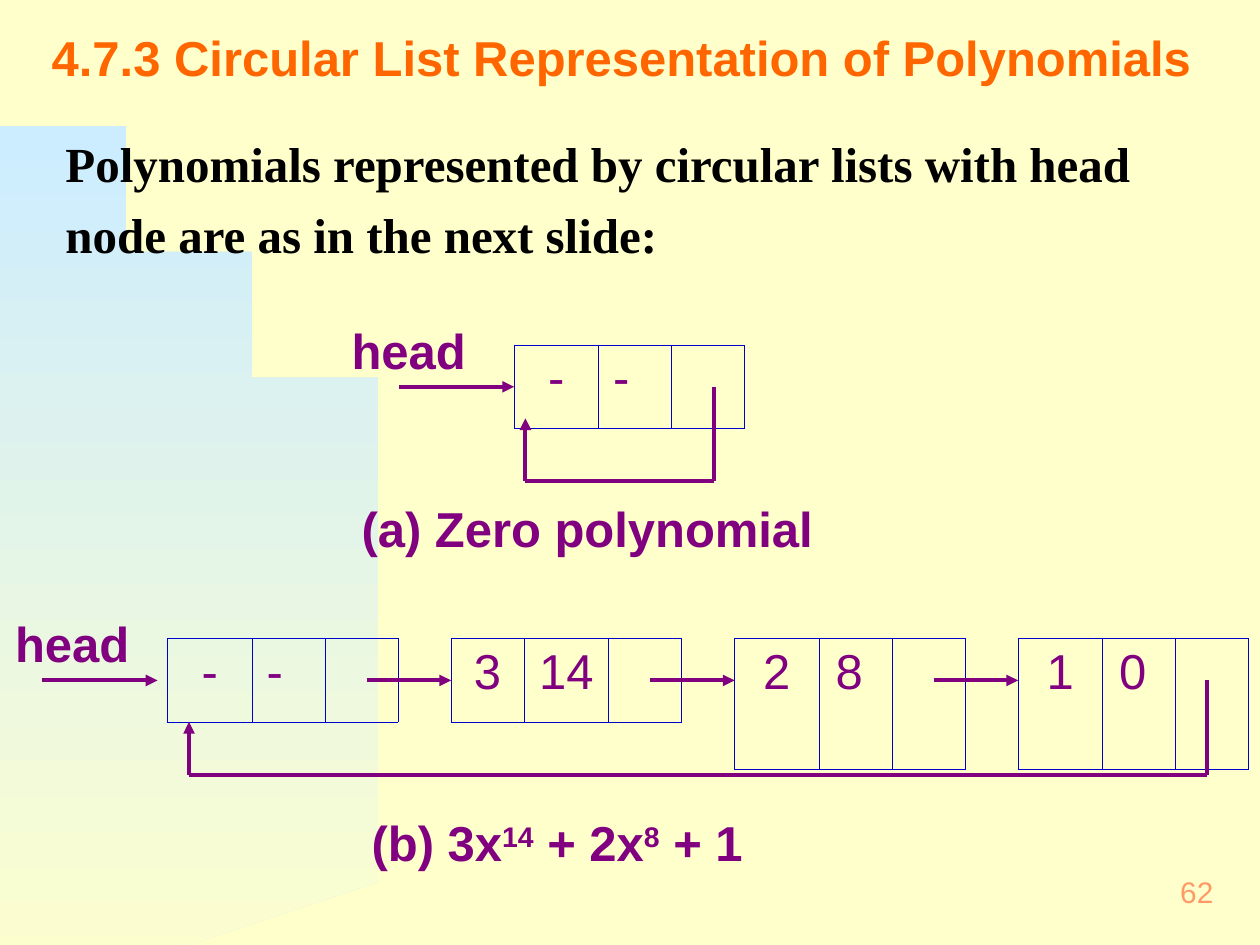
from dataclasses import dataclass
from math import cos, pi, sin

from lxml.etree import SubElement
from pptx import Presentation
from pptx.dml.color import RGBColor as RGB
from pptx.enum.shapes import MSO_CONNECTOR as CONN
from pptx.enum.text import MSO_ANCHOR as ANCHOR, PP_ALIGN as ALIGN
from pptx.oxml.ns import qn
from pptx.util import Inches, Pt


@dataclass(frozen=True)
class Theme:
    background: str = "FFFFCC"
    sky: str = "CCECFF"
    title: str = "FF6600"
    body: str = "010000"
    ink: str = "800080"
    border: str = "0000CC"
    number: str = "FF9966"
    sans: str = "Arial"
    serif: str = "Times New Roman"
    size: float = 28
    number_size: float = 17
    line: float = 2.25
    border_line: float = 0.45


class SlideBuilder:
    def __init__(self, slide, theme):
        self.s = slide
        self.t = theme
        fill = slide.background.fill
        fill.solid()
        fill.fore_color.rgb = RGB.from_string(theme.background)

    def style(self, p, color, bold=True, size=None, font=None):
        for r in p.runs:
            r.font.name = font or self.t.sans
            r.font.size = Pt(size or self.t.size)
            r.font.bold = bold
            r.font.color.rgb = RGB.from_string(color)

    def arc(self, rx, top, bottom, steps=60):
        points = [(rx * sin(a), bottom - (bottom - top) * cos(a))
                  for a in (pi / 2 * i / steps for i in range(steps + 1))]
        fb = self.s.shapes.build_freeform(*points[0], scale=Inches(1))
        fb.add_line_segments(points[1:] + [(0, bottom)], close=True)
        sp = fb.convert_to_shape()
        sp.shadow.inherit = False
        sp.line.fill.background()
        sp.fill.gradient()
        sp.fill.gradient_angle = 270
        for stop, color, pos in zip(sp.fill.gradient_stops,
                                    (self.t.sky, self.t.background), (0, 1)):
            stop.color.rgb = RGB.from_string(color)
            stop.position = pos

    def text(self, x, y, w, h, parts, color=None, align=ALIGN.LEFT,
             anchor=ANCHOR.TOP, spacing=None, **font):
        sp = self.s.shapes.add_textbox(Inches(x), Inches(y), Inches(w), Inches(h))
        tf = sp.text_frame
        tf.word_wrap = True
        tf.vertical_anchor = anchor
        tf.margin_left = tf.margin_right = Inches(0.12)
        tf.margin_top = tf.margin_bottom = Inches(0.06)
        p = tf.paragraphs[0]
        p.alignment = align
        p.line_spacing = spacing
        for i, part in enumerate(parts):
            r = p.add_run()
            r.text = part
            if i % 2:
                r._r.get_or_add_rPr().set("baseline", "30000")
        self.style(p, color or self.t.ink, **font)

    def line(self, start, end, arrow=False):
        c = self.s.shapes.add_connector(CONN.STRAIGHT, *map(Inches, start + end))
        c.line.color.rgb = RGB.from_string(self.t.ink)
        c.line.width = Pt(self.t.line)
        if arrow:
            SubElement(c.line._get_or_add_ln(), qn("a:tailEnd"), type="triangle")
        SubElement(c._element.spPr, qn("a:effectLst"))

    def route(self, *points):
        for i, (start, end) in enumerate(zip(points, points[1:]), 2):
            self.line(start, end, arrow=i == len(points))

    def border(self, cell):
        tc_pr = cell._tc.get_or_add_tcPr()
        for i, side in enumerate(("lnL", "lnR", "lnT", "lnB")):
            ln = tc_pr.makeelement(qn("a:" + side), {"w": str(Pt(self.t.border_line))})
            fill = SubElement(ln, qn("a:solidFill"))
            SubElement(fill, qn("a:srgbClr"), val=self.t.border)
            tc_pr.insert(i, ln)

    def node(self, x, y, height, widths, values, shift):
        tbl = self.s.shapes.add_table(1, 3, Inches(x), Inches(y),
                                      Inches(sum(widths)), Inches(height)).table
        tbl.first_row = tbl.horz_banding = False
        tbl.rows[0].height = Inches(height)
        for i, (width, value) in enumerate(zip(widths, values)):
            tbl.columns[i].width = Inches(width)
            cell = tbl.cell(0, i)
            cell.fill.background()
            cell.margin_right = Inches(0.1 + (shift if i == 1 else 0))
            self.border(cell)
            p = cell.text_frame.paragraphs[0]
            p.text = value
            p.alignment = ALIGN.CENTER
            self.style(p, self.t.ink, bold=False)


def main():
    prs = Presentation()
    prs.slide_width, prs.slide_height = Inches(10), Inches(7.5)
    t = Theme()
    b = SlideBuilder(prs.slides.add_slide(prs.slide_layouts[6]), t)

    b.arc(3.17, 0.92, 7.5)
    b.text(7.67, 6.83, 2.08, 0.5, ["62"], t.number, ALIGN.RIGHT, ANCHOR.MIDDLE,
           bold=False, size=t.number_size)
    b.text(0.29, 0.05, 9.39, 0.92,
           ["4.7.3 Circular List Representation of Polynomials"],
           t.title, anchor=ANCHOR.MIDDLE, spacing=0.7)
    b.text(0.4, 0.91, 9.17, 1.24,
           ["Polynomials represented by circular lists with head node "
            "are as in the next slide:"],
           t.body, spacing=1.2, font=t.serif)

    wide_first, wide_middle = (0.67, 0.58, 0.58), (0.58, 0.67, 0.58)
    head_values = ("-", "-", "")

    b.text(2.67, 2.48, 1.23, 0.59, ["head"])
    b.node(4.08, 2.74, 0.66, wide_first, head_values, 0.22)
    b.line((3.17, 3.07), (4.08, 3.07), arrow=True)
    b.route((5.67, 3.07), (5.67, 3.82), (4.17, 3.82), (4.17, 3.32))
    b.text(2.75, 3.9, 3.92, 0.59, ["(a) Zero polynomial"])

    left, pitch, top, link_y = 1.33, 2.25, 5.07, 5.4
    nodes = [
        (0.66, wide_first, head_values, 0.22),
        (0.66, wide_middle, ("3", "14", ""), 0),
        (1.04, wide_first, ("2", "8", ""), 0.1),
        (1.04, wide_first, ("1", "0", ""), 0.1),
    ]
    b.text(0, 4.81, 1.25, 0.59, ["head"])
    b.line((0.33, link_y), (1.25, link_y), arrow=True)
    for i, node in enumerate(nodes):
        x = left + i * pitch
        b.node(x, top, *node)
        if i < len(nodes) - 1:
            b.line((x + 1.58, link_y), (x + pitch, link_y), arrow=True)
    b.route((9.58, link_y), (9.58, 6.15), (1.5, 6.15), (1.5, 5.73))
    b.text(2.83, 6.39, 3.92, 0.59, ["(b) 3x", "14", " + 2x", "8", " + 1"])

    prs.save("out.pptx")


if __name__ == "__main__":
    main()
